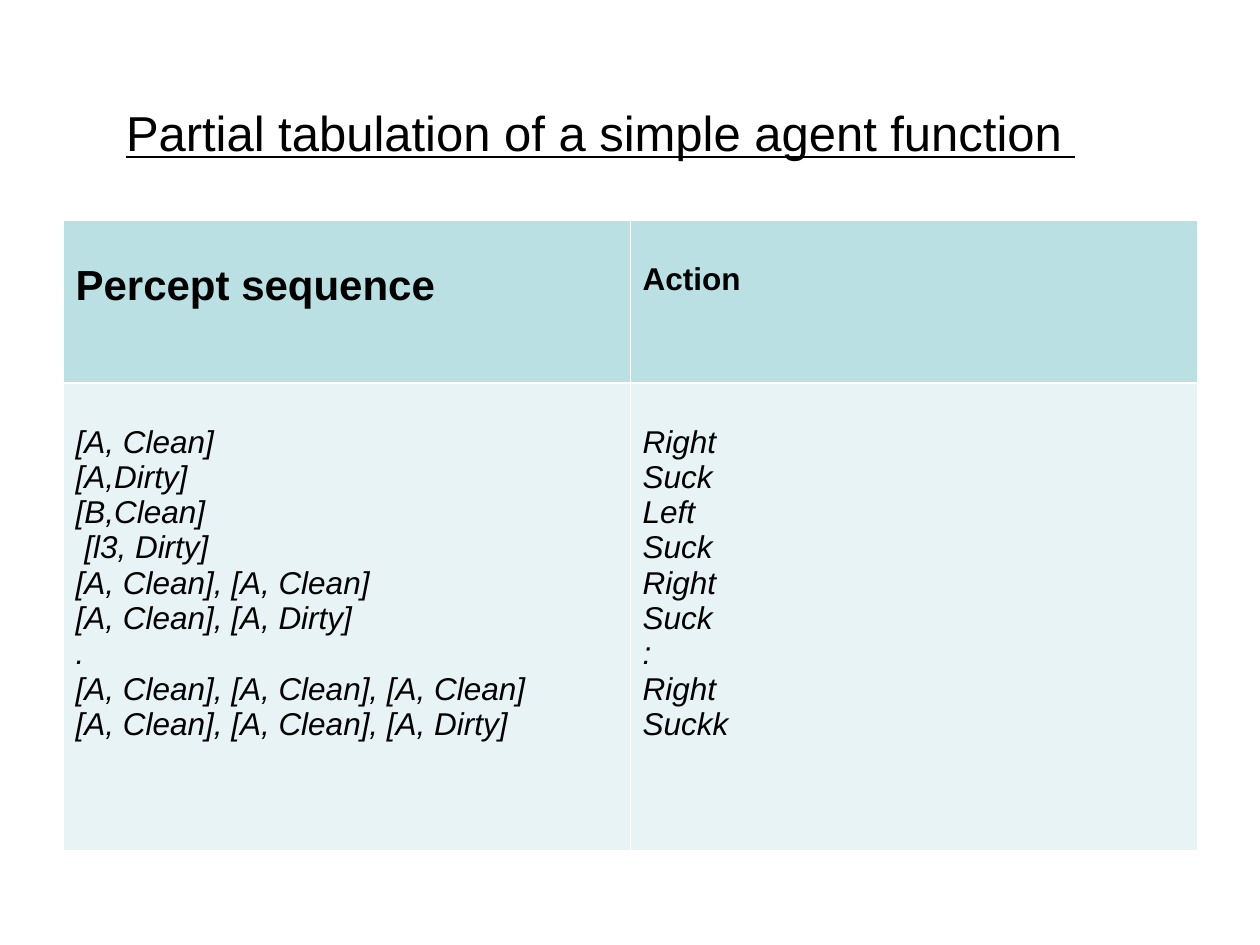
from dataclasses import dataclass

from lxml.etree import SubElement
from pptx import Presentation
from pptx.dml.color import RGBColor as RGB
from pptx.enum.text import MSO_ANCHOR as Anchor, PP_ALIGN as Align
from pptx.oxml.ns import qn
from pptx.util import Inches, Pt


@dataclass(frozen=True)
class Theme:
    font: str = "Arial"
    text: str = "000000"
    header_fill: str = "BBE0E3"
    body_fill: str = "E7F3F4"
    border: str = "FFFFFF"
    title_size: int = 28
    head_size: int = 24
    body_size: int = 18
    thin: float = 0.45
    thick: float = 1.47


@dataclass(frozen=True)
class Column:
    heading: str
    heading_size: int
    entries: tuple[str, ...]


THEME = Theme()
COLUMNS = (
    Column("Percept sequence", THEME.head_size, (
        "[A, Clean]",
        "[A,Dirty]",
        "[B,Clean]",
        " [l3, Dirty]",
        "[A, Clean], [A, Clean]",
        "[A, Clean], [A, Dirty]",
        ".",
        "[A, Clean], [A, Clean], [A, Clean]",
        "[A, Clean], [A, Clean], [A, Dirty]",
    )),
    Column("Action", THEME.body_size, (
        "Right", "Suck", "Left", "Suck", "Right", "Suck", ":", "Right", "Suckk",
    )),
)


def add_text(p, text: str, *, size: int, bold=False, italic=False, underline=False) -> None:
    p.alignment = Align.LEFT
    r = p.add_run()
    r.text = text
    f = r.font
    f.name, f.size = THEME.font, Pt(size)
    f.bold, f.italic, f.underline = bold, italic, underline
    f.color.rgb = RGB.from_string(THEME.text)


def set_borders(cell, top: float, bottom: float) -> None:
    tc_pr = cell._tc.get_or_add_tcPr()
    widths = {"lnL": THEME.thin, "lnR": THEME.thin, "lnT": top, "lnB": bottom}
    for tag, width in widths.items():
        ln = SubElement(tc_pr, qn(f"a:{tag}"), w=str(Pt(width)))
        fill = SubElement(ln, qn("a:solidFill"))
        SubElement(fill, qn("a:srgbClr"), val=THEME.border)


def fill_cell(cell, lines: tuple[str, ...], fill: str, top: float, bottom: float, **fmt) -> None:
    set_borders(cell, top, bottom)
    cell.fill.solid()
    cell.fill.fore_color.rgb = RGB.from_string(fill)
    cell.vertical_anchor = Anchor.TOP
    cell.margin_top = Inches(0.33)
    tf = cell.text_frame
    for i, line in enumerate(lines):
        p = tf.add_paragraph() if i else tf.paragraphs[0]
        add_text(p, line, **fmt)


def add_title(s, text: str) -> None:
    sp = s.shapes.title
    sp.left, sp.top, sp.width, sp.height = map(Inches, (0.5, 0.3, 9, 1.25))
    tf = sp.text_frame
    tf.word_wrap = True
    tf.vertical_anchor = Anchor.MIDDLE
    tf.margin_left, tf.margin_top = Inches(0.5), Inches(0.3)
    add_text(tf.paragraphs[0], text, size=THEME.title_size, underline=True)


def add_agent_table(s, columns: tuple[Column, ...]) -> None:
    table = s.shapes.add_table(
        2, len(columns), Inches(0.5), Inches(1.75), Inches(9), Inches(5)).table
    for row, height in zip(table.rows, (1.29, 3.71)):
        row.height = Inches(height)
    for i, col in enumerate(columns):
        fill_cell(table.cell(0, i), (col.heading,), THEME.header_fill,
                  THEME.thin, THEME.thick, size=col.heading_size, bold=True)
        fill_cell(table.cell(1, i), col.entries, THEME.body_fill,
                  THEME.thick, THEME.thin, size=THEME.body_size, italic=True)


def main() -> None:
    prs = Presentation()
    prs.slide_width, prs.slide_height = Inches(10), Inches(7.5)
    s = prs.slides.add_slide(prs.slide_layouts[5])
    add_title(s, "Partial tabulation of a simple agent function ")
    add_agent_table(s, COLUMNS)
    prs.save("out.pptx")


if __name__ == "__main__":
    main()
